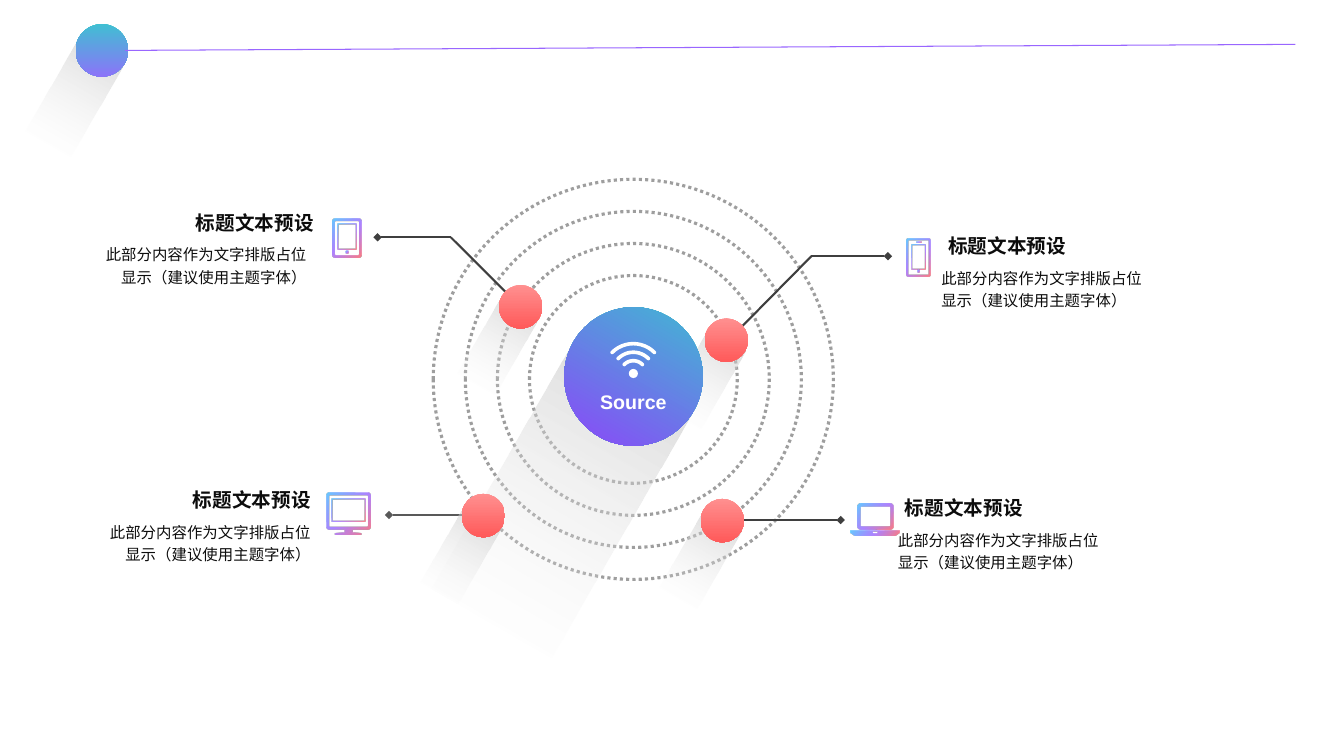
"""Build a slide with a signal source, four dots on its rings and four captions."""
from itertools import pairwise
from math import cos, radians, sin

from lxml.etree import SubElement
from pptx import Presentation
from pptx.dml.color import RGBColor
from pptx.enum.dml import MSO_LINE_DASH_STYLE as DASH
from pptx.enum.shapes import MSO_CONNECTOR as CONN, MSO_SHAPE as SHAPE
from pptx.enum.text import PP_ALIGN as ALIGN
from pptx.oxml.ns import qn
from pptx.util import Pt

WHITE = RGBColor(0xFF, 0xFF, 0xFF)
INK = RGBColor(0x0C, 0x0C, 0x0C)
DARK = RGBColor(0x3F, 0x3F, 0x3F)
GRAY = RGBColor(0x59, 0x59, 0x59)
RING = RGBColor(0x9E, 0x9E, 0x9E)
SILVER = RGBColor(0xBF, 0xBF, 0xBF)
TEAL = RGBColor(0x33, 0xCC, 0xCC)
PURPLE = RGBColor(0x99, 0x66, 0xFF)
VIOLET = RGBColor(0x99, 0x33, 0xFF)
SKY = RGBColor(0x66, 0xCC, 0xFF)
CORAL = RGBColor(0xFF, 0x7C, 0x80)
PINK = RGBColor(0xFF, 0x99, 0x99)
RED = RGBColor(0xFF, 0x50, 0x50)

SHADE = [(0, SILVER, 70), (100, WHITE, 0)]
DOT = [(0, PINK, 100), (100, RED, 100)]
HUB = [(0, TEAL, 100), (100, VIOLET, 100)]
HEADER = [(0, TEAL, 100), (100, PURPLE, 100)]
ICON = [(0, SKY, 100), (50, PURPLE, 80), (100, CORAL, 100)]

TITLE = "标题文本预设"
BODY = "此部分内容作为文字排版占位显示（建议使用主题字体）"


def arc(cx, cy, radius, start, end, steps=12):
    """Return points along an arc, with angles in degrees running clockwise."""
    angles = [radians(start + (end - start) * i / steps) for i in range(steps + 1)]
    return [(cx + radius * cos(a), cy + radius * sin(a)) for a in angles]


def round_rect(x, y, w, h, radius):
    """Return the outline of a rectangle with rounded corners."""
    corners = [(x + w - radius, y + radius, -90), (x + w - radius, y + h - radius, 0),
               (x + radius, y + h - radius, 90), (x + radius, y + radius, 180)]
    return [pt for cx, cy, a in corners for pt in arc(cx, cy, radius, a, a + 90, 4)]


def frame(x, y, w, h, t):
    """Return the outer and inner outlines of a rounded frame of thickness t."""
    return [round_rect(x, y, w, h, t),
            round_rect(x + t, y + t, w - 2 * t, h - 2 * t, t / 3)]


def band(cx, cy, radius, t):
    """Return the outline of a quarter arc of thickness t with round ends."""
    (x0, y0), (x1, y1) = arc(cx, cy, radius, -135, -45, 1)
    return (arc(cx, cy, radius + t / 2, -135, -45) + arc(x1, y1, t / 2, -45, 135)
            + arc(cx, cy, radius - t / 2, -45, -135) + arc(x0, y0, t / 2, 45, 225))


class Deck:
    """Hold the style and the current slide."""

    font = "Arial"

    def __init__(self):
        """Start a wide presentation with one blank slide."""
        self.prs = Presentation()
        self.prs.slide_width, self.prs.slide_height = Pt(960), Pt(540)
        self.s = self.prs.slides.add_slide(self.prs.slide_layouts[6])

    def paint(self, sp, fill, angle=90, turn=True):
        """Fill a shape with a colour or with (position, colour, opacity) stops."""
        sp.shadow.inherit = False
        sp.line.fill.background()
        if isinstance(fill, RGBColor):
            sp.fill.solid()
            sp.fill.fore_color.rgb = fill
            return
        sp.fill.gradient()
        sp.fill.gradient_angle = 360 - angle
        grad = sp._element.spPr.find(qn("a:gradFill"))
        grad.set("rotWithShape", str(int(turn)))
        stops = grad.find(qn("a:gsLst"))
        for stop in list(stops):
            stops.remove(stop)
        for pos, color, opacity in fill:
            stop = SubElement(stops, qn("a:gs"), pos=str(pos * 1000))
            clr = SubElement(stop, qn("a:srgbClr"), val=str(color))
            if opacity < 100:
                SubElement(clr, qn("a:alpha"), val=str(opacity * 1000))

    def shape(self, kind, cx, cy, w, h, fill, rotation=0, angle=90, turn=True):
        """Add a filled preset shape around a centre."""
        sp = self.s.shapes.add_shape(kind, Pt(cx - w / 2), Pt(cy - h / 2), Pt(w), Pt(h))
        sp.rotation = rotation
        self.paint(sp, fill, angle, turn)

    def ball(self, cx, cy, d, fill, turn=False):
        """Add a circle with a long slanted shadow that starts at its centre."""
        length, tilt = 2.05 * d, 30
        self.shape(SHAPE.RECTANGLE, cx - length / 2 * sin(radians(tilt)),
                   cy + length / 2 * cos(radians(tilt)), d, length, SHADE, tilt)
        self.shape(SHAPE.OVAL, cx, cy, d, d, fill, tilt, turn=turn)

    def ring(self, cx, cy, d):
        """Add a dotted circle."""
        sp = self.s.shapes.add_shape(SHAPE.OVAL, Pt(cx - d / 2), Pt(cy - d / 2), Pt(d), Pt(d))
        sp.shadow.inherit = False
        sp.fill.background()
        sp.line.color.rgb = RING
        sp.line.width = Pt(2.25)
        sp.line.dash_style = DASH.ROUND_DOT

    def outline(self, contours, fill=ICON):
        """Add one filled freeform made of closed contours."""
        pen = None
        for contour in contours:
            first, *rest = [(Pt(x), Pt(y)) for x, y in contour]
            if pen is None:
                pen = self.s.shapes.build_freeform(*first)
            else:
                pen.move_to(*first)
            pen.add_line_segments(rest, close=True)
        self.paint(pen.convert_to_shape(), fill, 45)

    def leader(self, *points, color=DARK, width=1.5, diamond=True):
        """Add straight connectors through the points, ending in a diamond."""
        for (x0, y0), (x1, y1) in pairwise(points):
            c = self.s.shapes.add_connector(CONN.STRAIGHT, Pt(x0), Pt(y0), Pt(x1), Pt(y1))
            c.line.color.rgb = color
            c.line.width = Pt(width)
            SubElement(c._element.spPr, qn("a:effectLst"))
        if diamond:
            SubElement(c.line._get_or_add_ln(), qn("a:tailEnd"), type="diamond")

    def text(self, text, x, y, w, h, size=11, color=INK, bold=False,
             align=ALIGN.LEFT, wrap=True, spacing=None):
        """Add a text box with one formatted paragraph."""
        tf = self.s.shapes.add_textbox(Pt(x), Pt(y), Pt(w), Pt(h)).text_frame
        tf.word_wrap = wrap
        p = tf.paragraphs[0]
        p.alignment, p.line_spacing = align, spacing
        r = p.add_run()
        r.text = text
        r.font.name, r.font.size, r.font.bold = self.font, Pt(size), bold
        r.font.color.rgb = color

    def caption(self, x, y, align, shift):
        """Add a body text with its title above, moved sideways by shift."""
        w, title_w = 160, 99.4
        left = x + shift + (w - title_w if align == ALIGN.RIGHT else 0)
        self.text(BODY, x, y, w, 54, align=align, spacing=1.2)
        self.text(TITLE, left, y - 22.2, title_w, 24.5, size=14, bold=True,
                  align=align, wrap=False)


def main():
    """Draw the slide and save it."""
    deck = Deck()
    deck.ball(72.7, 36, 37.5, HEADER)
    deck.leader((89.3, 36), (925.2, 31.7), color=PURPLE, width=0.75, diamond=False)
    for i in range(4):
        deck.ring(452.4, 271, 148.4 + 45.8 * i)

    for x, y, align, shift in [(665.3, 185.8, ALIGN.LEFT, 5), (66.2, 169.2, ALIGN.RIGHT, 5),
                               (69.1, 367.2, ALIGN.RIGHT, 0), (634.3, 373, ALIGN.LEFT, 5)]:
        deck.caption(x, y, align, shift)

    phone = frame(647.6, 170.4, 17.2, 27.2, 1.6)
    phone_screen = frame(650.9, 174.8, 10.4, 17.6, 0.8)
    phone_speaker = [round_rect(654.4, 172.8, 3.6, 0.8, 0.4)]
    tablet = frame(237.6, 156.2, 20.6, 27.4, 2)
    tablet_screen = frame(241.2, 159.8, 13.5, 18.7, 0.9)
    stand = [(246.2, 378), (246.2, 379.6), (239.8, 380.2), (239, 380.9), (239.8, 381.6),
             (257.8, 381.6), (258.5, 380.9), (257.8, 380.2), (252, 379.6), (252, 378)]
    monitor = frame(233.3, 352.1, 31.6, 25.9, 2.2) + [stand]
    monitor_screen = frame(236.9, 356.2, 24, 16, 0.9)
    laptop = frame(612.7, 359.4, 25.2, 18.4, 2.5)
    keyboard = [[(607.5, 379.4), (642.5, 379.4), (642.5, 380.9), (639.4, 382.6),
                 (610.6, 382.6), (607.5, 380.9)], round_rect(623.4, 380.2, 3.4, 0.8, 0.4)]
    for contours in (phone, phone_screen, phone_speaker, tablet, tablet_screen,
                     monitor, monitor_screen, laptop, keyboard):
        deck.outline(contours)
    for cx, cy, d in [(656.1, 193.7, 1.8), (247.9, 180, 1.8)]:
        deck.shape(SHAPE.OVAL, cx, cy, d, d, ICON, angle=45)

    deck.leader((529.2, 234), (579.6, 183), (634.3, 183))
    deck.leader((363.6, 211), (322, 169.5), (269.7, 169.5))
    deck.leader((333.4, 367.9), (277.9, 367.9), color=GRAY)
    deck.leader((530.6, 371.5), (600.5, 371.5))

    for cx, cy in [(518.8, 243), (371.9, 219.2), (515.9, 371.9)]:
        deck.ball(cx, cy, 31, DOT)
    deck.ball(452.5, 268.9, 99, HUB, turn=True)
    deck.shape(SHAPE.OVAL, 452.4, 266.8, 6.5, 6.5, WHITE)
    for i in range(3):
        deck.outline([band(452.4, 266.8, 9.1 + 6.1 * i, 2.6)], WHITE)
    deck.text("Source", 421.2, 275, 62.6, 24.5, size=14, color=WHITE, bold=True,
              align=ALIGN.CENTER, wrap=False)
    deck.ball(345.2, 368.3, 31, DOT)
    deck.prs.save("out.pptx")


if __name__ == "__main__":
    main()
